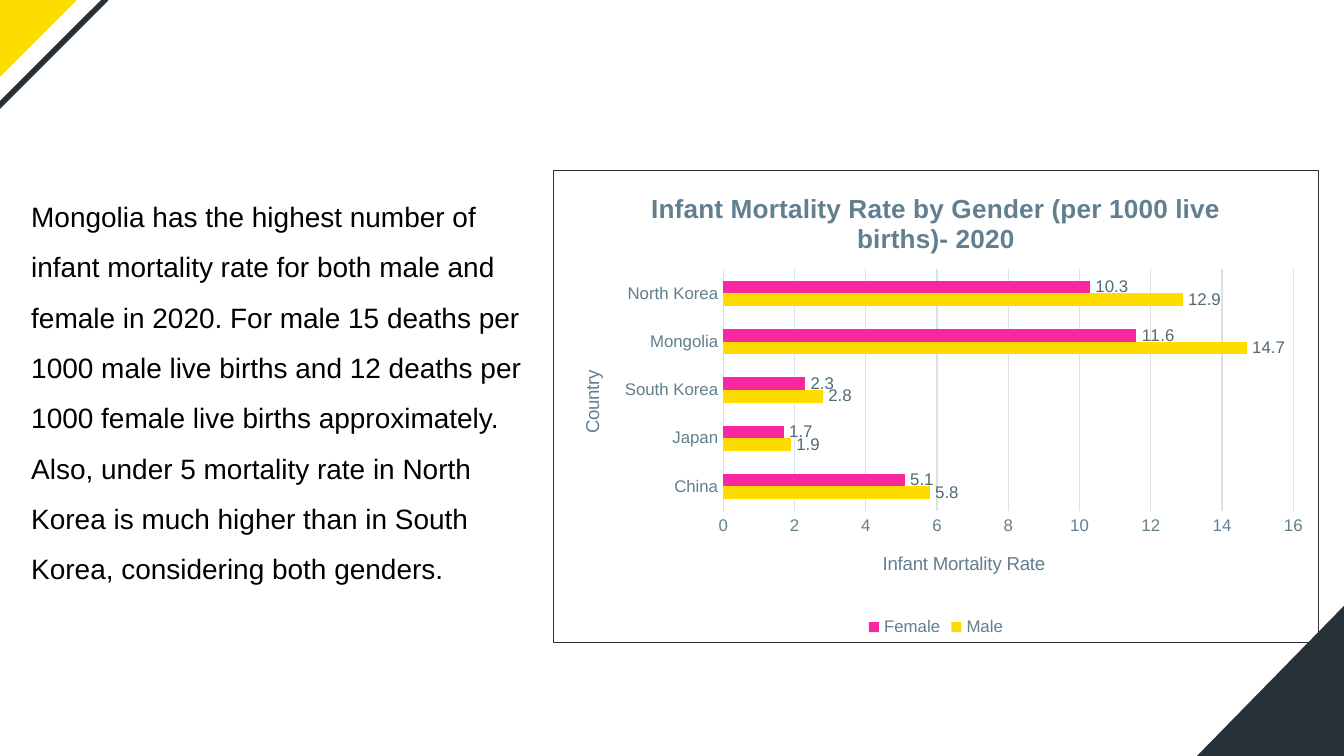
"""Build a slide on infant mortality by gender with a bar chart and a comment."""
from lxml import etree
from pptx import Presentation
from pptx.chart.data import CategoryChartData
from pptx.dml.color import RGBColor
from pptx.enum.chart import XL_CHART_TYPE, XL_LABEL_POSITION, XL_LEGEND_POSITION, XL_TICK_MARK
from pptx.oxml import parse_xml
from pptx.oxml.ns import nsdecls, qn
from pptx.util import Pt

BAR_CLUSTERED = XL_CHART_TYPE.BAR_CLUSTERED
OUTSIDE_END = XL_LABEL_POSITION.OUTSIDE_END
BOTTOM = XL_LEGEND_POSITION.BOTTOM
NO_TICK = XL_TICK_MARK.NONE

PX = 6804
WIDTH, HEIGHT = 1344, 756
CHART_LEFT, CHART_TOP, CHART_WIDTH, CHART_HEIGHT = 553, 170, 766, 473
DARK, YELLOW, PINK = "263238", "FFDC00", "F9279F"
SLATE, LABEL, GRID = "617F8F", "506976", "DAE2E6"


def style_font(font, size, color, bold=False):
    font.name = "Arial"
    font.size = Pt(size)
    font.bold = bold
    font.color.rgb = RGBColor.from_string(color)


def place(element, left, top, width=None, height=None):
    for old_layout in element.findall(qn("c:layout")):
        element.remove(old_layout)
    layout = etree.Element(qn("c:layout"))
    manual = etree.SubElement(layout, qn("c:manualLayout"))
    values = {"xMode": "edge", "yMode": "edge",
              "x": (left - CHART_LEFT) / CHART_WIDTH, "y": (top - CHART_TOP) / CHART_HEIGHT}
    if width:
        etree.SubElement(manual, qn("c:layoutTarget")).set("val", "inner")
        values.update(w=width / CHART_WIDTH, h=height / CHART_HEIGHT)
    for name, value in values.items():
        etree.SubElement(manual, qn(f"c:{name}")).set("val", str(value))
    element.insert(0 if element.find(qn("c:tx")) is None else 1, layout)


presentation = Presentation()
presentation.slide_width = WIDTH * PX
presentation.slide_height = HEIGHT * PX
slide = presentation.slides.add_slide(presentation.slide_layouts[6])

corners = [
    (DARK, None, [(WIDTH, 606), (WIDTH, HEIGHT), (1197, HEIGHT)]),
    (YELLOW, None, [(-31, -110), (-140, -1), (-31, 108), (78, -1)]),
    (None, DARK, [(-3, -110), (-113, -1), (-3, 108), (106, -1)]),
]
for fill_color, line_color, points in corners:
    builder = slide.shapes.build_freeform(*points[0], scale=PX)
    builder.add_line_segments(points[1:], close=True)
    corner = builder.convert_to_shape()
    corner.shadow.inherit = False
    if fill_color:
        corner.fill.solid()
        corner.fill.fore_color.rgb = RGBColor.from_string(fill_color)
        corner.line.fill.background()
    else:
        corner.fill.background()
        corner.line.color.rgb = RGBColor.from_string(line_color)
        corner.line.width = Pt(3)

comment = slide.shapes.add_textbox(18 * PX, 176 * PX, 539 * PX, 465 * PX)
comment.text_frame.word_wrap = True
comment.text_frame.text = (
    "Mongolia has the highest number of infant mortality rate for both male and female in 2020. "
    "For male 15 deaths per 1000 male live births and 12 deaths per 1000 female live births "
    "approximately. Also, under 5 mortality rate in North Korea is much higher than in South "
    "Korea, considering both genders."
)
paragraph = comment.text_frame.paragraphs[0]
paragraph.line_spacing = 1.5
style_font(paragraph.runs[0].font, 15, "000000")

chart_data = CategoryChartData()
chart_data.categories = ["China", "Japan", "South Korea", "Mongolia", "North Korea"]
chart_data.add_series("Male", [5.8, 1.9, 2.8, 14.7, 12.9])
chart_data.add_series("Female", [5.1, 1.7, 2.3, 11.6, 10.3])
chart = slide.shapes.add_chart(
    BAR_CLUSTERED, CHART_LEFT * PX, CHART_TOP * PX, CHART_WIDTH * PX, CHART_HEIGHT * PX, chart_data
).chart
style_font(chart.font, 10, DARK)
chart.element.find(qn("c:chart")).addnext(parse_xml(
    f'<c:spPr {nsdecls("c", "a")}><a:noFill/><a:ln w="{Pt(0.75)}"><a:solidFill>'
    f'<a:srgbClr val="{DARK}"/></a:solidFill></a:ln></c:spPr>'
))

chart.has_title = True
chart.chart_title.include_in_layout = False
chart.chart_title.text_frame.text = "Infant Mortality Rate by Gender (per 1000 live births)- 2020"
style_font(chart.chart_title.text_frame.paragraphs[0].runs[0].font, 14, SLATE, bold=True)

chart.has_legend = True
chart.legend.position = BOTTOM
chart.legend.include_in_layout = False
style_font(chart.legend.font, 9, SLATE)

plot = chart.plots[0]
plot.gap_width = 182
plot.overlap = 0
plot.vary_by_categories = False
for series, color in zip(plot.series, [YELLOW, PINK]):
    series.format.fill.solid()
    series.format.fill.fore_color.rgb = RGBColor.from_string(color)
    series.data_labels.show_value = True
    series.data_labels.position = OUTSIDE_END
    style_font(series.data_labels.font, 9, LABEL)

country_axis, rate_axis = chart.category_axis, chart.value_axis
axes = [(country_axis, "Country", 576, 367), (rate_axis, "Infant Mortality Rate", 879, 548)]
for axis, title, left, top in axes:
    axis.major_tick_mark = NO_TICK
    axis.minor_tick_mark = NO_TICK
    style_font(axis.tick_labels.font, 9, SLATE)
    axis.axis_title.text_frame.text = title
    style_font(axis.axis_title.text_frame.paragraphs[0].runs[0].font, 10, SLATE)
    place(axis.axis_title.element, left, top)
country_body = country_axis.axis_title.element.find(".//" + qn("a:bodyPr"))
country_body.set("rot", "-5400000")
country_body.set("vert", "horz")

rate_axis.minimum_scale = 0
rate_axis.maximum_scale = 16
rate_axis.major_unit = 2
rate_axis.format.line.fill.background()
for line in (country_axis.format.line, rate_axis.major_gridlines.format.line):
    line.color.rgb = RGBColor.from_string(GRID)
    line.width = Pt(0.75)
place(chart.element.find(".//" + qn("c:plotArea")), 723, 269, 571, 242)

presentation.save("out.pptx")
